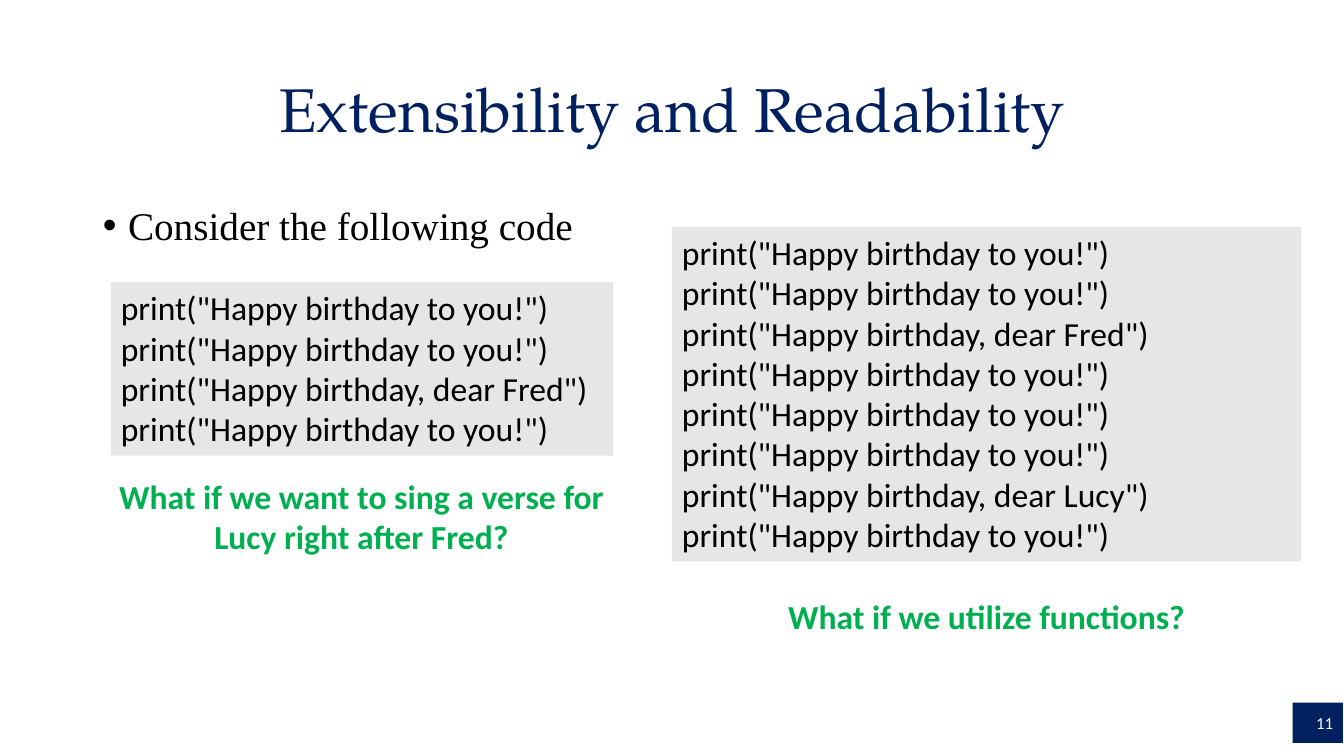
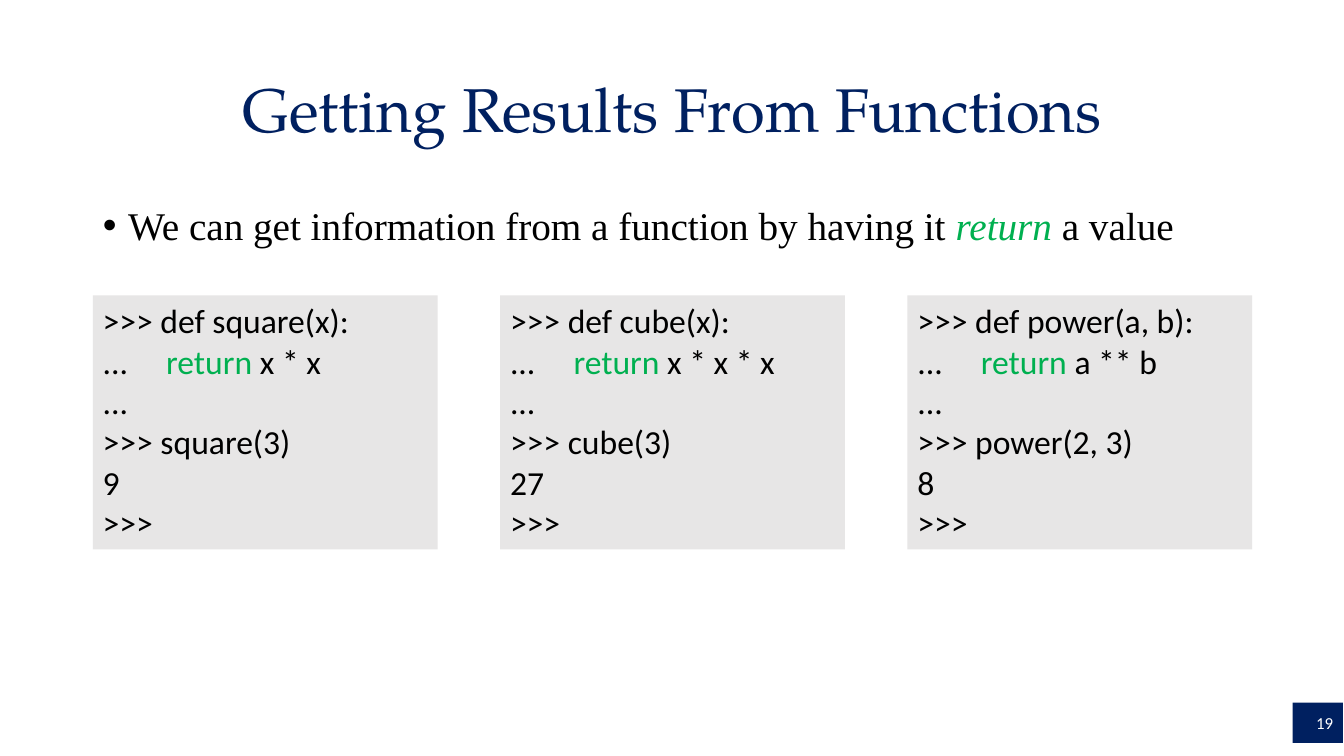
from dataclasses import dataclass

from lxml.etree import SubElement
from pptx import Presentation
from pptx.dml.color import RGBColor
from pptx.enum.shapes import MSO_SHAPE
from pptx.enum.text import MSO_ANCHOR, PP_ALIGN
from pptx.oxml.ns import qn
from pptx.util import Inches, Pt


@dataclass(frozen=True)
class Theme:
    """Colours, text formats and the page grid of the deck."""

    navy = RGBColor(0x00, 0x20, 0x60)
    green = RGBColor(0x00, 0xB0, 0x50)
    grey = RGBColor(0xE7, 0xE6, 0xE6)
    black = RGBColor(0, 0, 0)
    white = RGBColor(255, 255, 255)

    title = {"name": "TeX Gyre Pagella", "size": Pt(44), "color": navy}
    body = {"name": "Times New Roman", "size": Pt(28), "color": black}
    code = {"name": "Calibri", "size": Pt(24), "color": black}
    question = {**code, "color": green, "bold": True}
    number = {"name": "Calibri", "size": Pt(12), "color": white}
    keyword = {"color": green}
    term = {"color": green, "italic": True}

    width, height = 13.33, 7.5
    margin = 0.92
    content = 11.5
    gutter = 0.62
    line = 0.4
    padding = 0.12
    code_tab = 0.63


THEME = Theme()


def place(shape, left, top, width, height):
    """Move and size a shape, with lengths in inches."""
    box = {"left": left, "top": top, "width": width, "height": height}
    for name, value in box.items():
        setattr(shape, name, Inches(value))


def column(index, count):
    """Return the left edge and width of one of count equal columns."""
    width = (THEME.content - (count - 1) * THEME.gutter) / count
    return THEME.margin + index * (width + THEME.gutter), width


def block_height(lines):
    """Return the height that a block of text lines needs."""
    return len(lines) * THEME.line + THEME.padding


def add_run(paragraph, text, text_format):
    """Append one run with the given font format."""
    run = paragraph.add_run()
    run.text = text
    for name, value in text_format.items():
        if name == "color":
            run.font.color.rgb = value
        else:
            setattr(run.font, name, value)


def set_tab(paragraph, position):
    """Give a paragraph one left tab stop."""
    tab_list = SubElement(paragraph._p.get_or_add_pPr(), qn("a:tabLst"))
    SubElement(tab_list, qn("a:tab"), pos=str(Inches(position)), algn="l")


def write(shape, lines, text_format, **layout):
    """Write lines, each a string or a list of (text, format) runs."""
    frame = shape.text_frame
    for index, line in enumerate(lines):
        paragraph = frame.add_paragraph() if index else frame.paragraphs[0]
        for name, value in layout.items():
            setattr(paragraph, name, value)
        runs = [(line, {})] if isinstance(line, str) else line
        for text, changes in runs:
            add_run(paragraph, text, {**text_format, **changes})
        if any("\t" in text for text, _ in runs):
            set_tab(paragraph, THEME.code_tab)


def add_panel(slide, left, top, width, height, color, anchor):
    """Add a plain filled rectangle that holds text."""
    panel = slide.shapes.add_shape(MSO_SHAPE.RECTANGLE, 0, 0, 0, 0)
    place(panel, left, top, width, height)
    panel.shadow.inherit = False
    panel.fill.solid()
    panel.fill.fore_color.rgb = color
    panel.line.fill.background()
    panel.text_frame.word_wrap = True
    panel.text_frame.vertical_anchor = anchor
    return panel


def add_code(slide, left, top, width, lines):
    """Add a grey code listing as tall as its lines."""
    panel = add_panel(slide, left, top, width, block_height(lines),
                      THEME.grey, MSO_ANCHOR.TOP)
    write(panel, lines, THEME.code, alignment=PP_ALIGN.LEFT)


def add_question(slide, left, top, width, lines):
    """Add a green centred question."""
    box = slide.shapes.add_textbox(0, 0, 0, 0)
    place(box, left, top, width, block_height(lines))
    box.text_frame.word_wrap = True
    write(box, lines, THEME.question, alignment=PP_ALIGN.CENTER)


def add_slide(presentation, title, bullet, number):
    """Add a slide with its title, bullet and page number."""
    slide = presentation.slides.add_slide(presentation.slide_layouts[1])
    heading, body = slide.placeholders

    place(heading, THEME.margin, 0.39, THEME.content, 1.45)
    heading.text_frame.vertical_anchor = MSO_ANCHOR.MIDDLE
    write(heading, [title], THEME.title,
          alignment=PP_ALIGN.CENTER, line_spacing=0.9)

    place(body, THEME.margin, 2, THEME.content, 5.13)
    write(body, [bullet], THEME.body, line_spacing=0.9, space_before=Pt(10))
    properties = body.text_frame.paragraphs[0]._p.get_or_add_pPr()
    for name, value in {"marL": 0.25, "indent": -0.25}.items():
        properties.set(name, str(Inches(value)))
    SubElement(properties, qn("a:buFont"), typeface="Arial")
    SubElement(properties, qn("a:buChar"), char="\u2022")

    badge = add_panel(slide, THEME.width - 0.51, 6.97, 0.5, 0.4,
                      THEME.navy, MSO_ANCHOR.MIDDLE)
    write(badge, [str(number)], THEME.number, alignment=PP_ALIGN.RIGHT)
    return slide


def verse(name):
    """Return the code lines that sing one verse."""
    greeting = 'print("Happy birthday to you!")'
    return [greeting, greeting, f'print("Happy birthday, dear {name}")', greeting]


def session(signature, result, call, value):
    """Return an interpreter session that defines and calls a function."""
    return [
        f">>> def {signature}:",
        [("...\t", {}), ("return", THEME.keyword), (f" {result}", {})],
        "...",
        f">>> {call}",
        value,
        ">>>",
    ]


def build_readability(presentation):
    """Build the slide that compares one verse with two."""
    slide = add_slide(presentation, "Extensibility and Readability",
                      "Consider the following code", 11)
    middle = THEME.width / 2
    add_code(slide, 1.1, 2.8, 4.98, verse("Fred"))
    add_question(slide, 1.02, 4.67, 5.13,
                 ["What if we want to sing a verse for",
                  "Lucy right after Fred?"])
    add_code(slide, middle, 2.25, 6.24, verse("Fred") + verse("Lucy"))
    add_question(slide, middle, 5.86, 6.24, ["What if we utilize functions?"])


def build_results(presentation):
    """Build the slide with three functions that return values."""
    bullet = [("We can get information from a function by having it ", {}),
              ("return", THEME.term), (" a value", {})]
    slide = add_slide(presentation, "Getting Results From Functions", bullet, 19)
    sessions = [
        session("square(x)", "x * x", "square(3)", "9"),
        session("cube(x)", "x * x * x", "cube(3)", "27"),
        session("power(a, b)", "a ** b", "power(2, 3)", "8"),
    ]
    for index, lines in enumerate(sessions):
        left, width = column(index, len(sessions))
        add_code(slide, left, 2.93, width, lines)


def main():
    """Build and save the deck."""
    presentation = Presentation()
    presentation.slide_width = Inches(THEME.width)
    presentation.slide_height = Inches(THEME.height)
    build_readability(presentation)
    build_results(presentation)
    presentation.save("out.pptx")


main()
